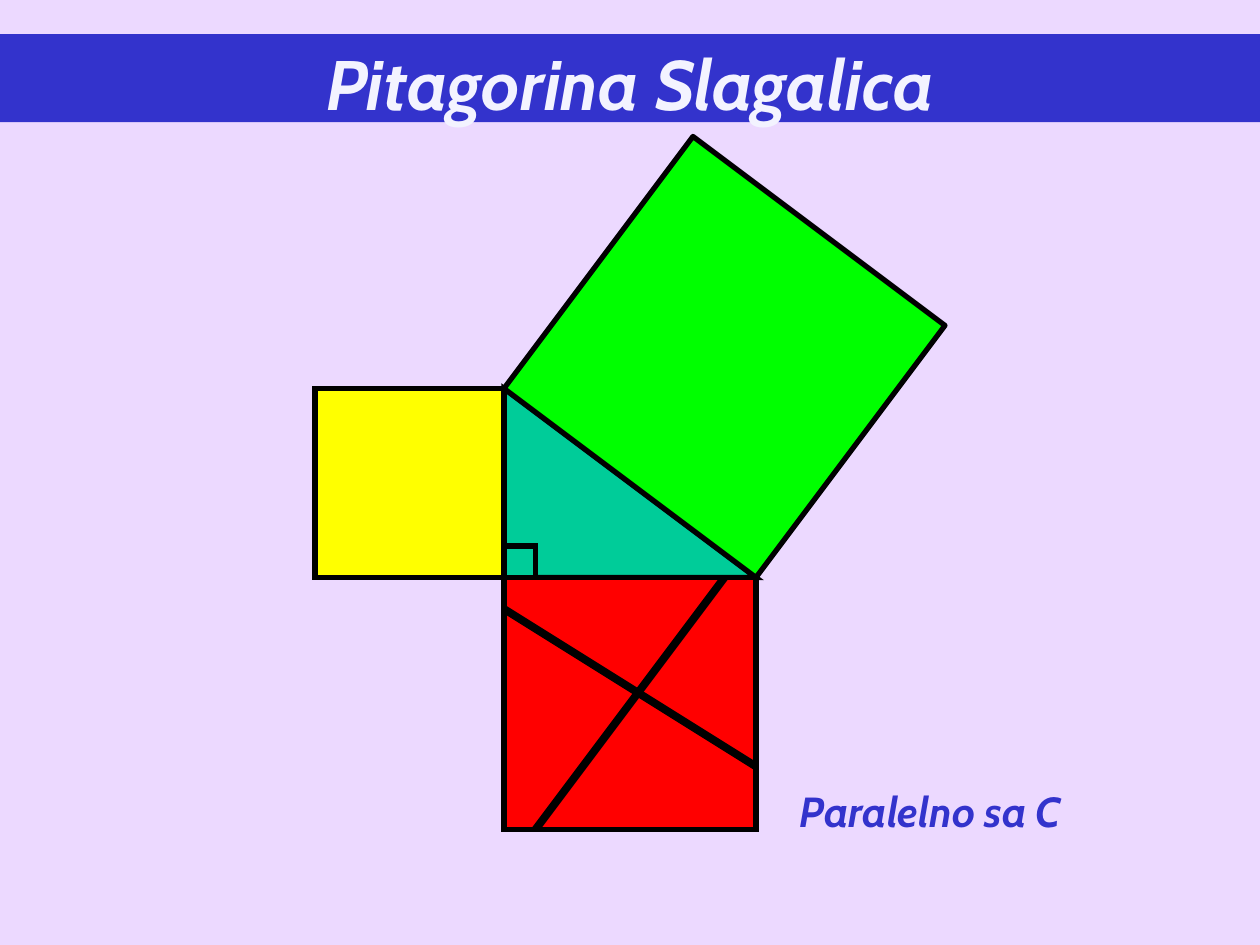
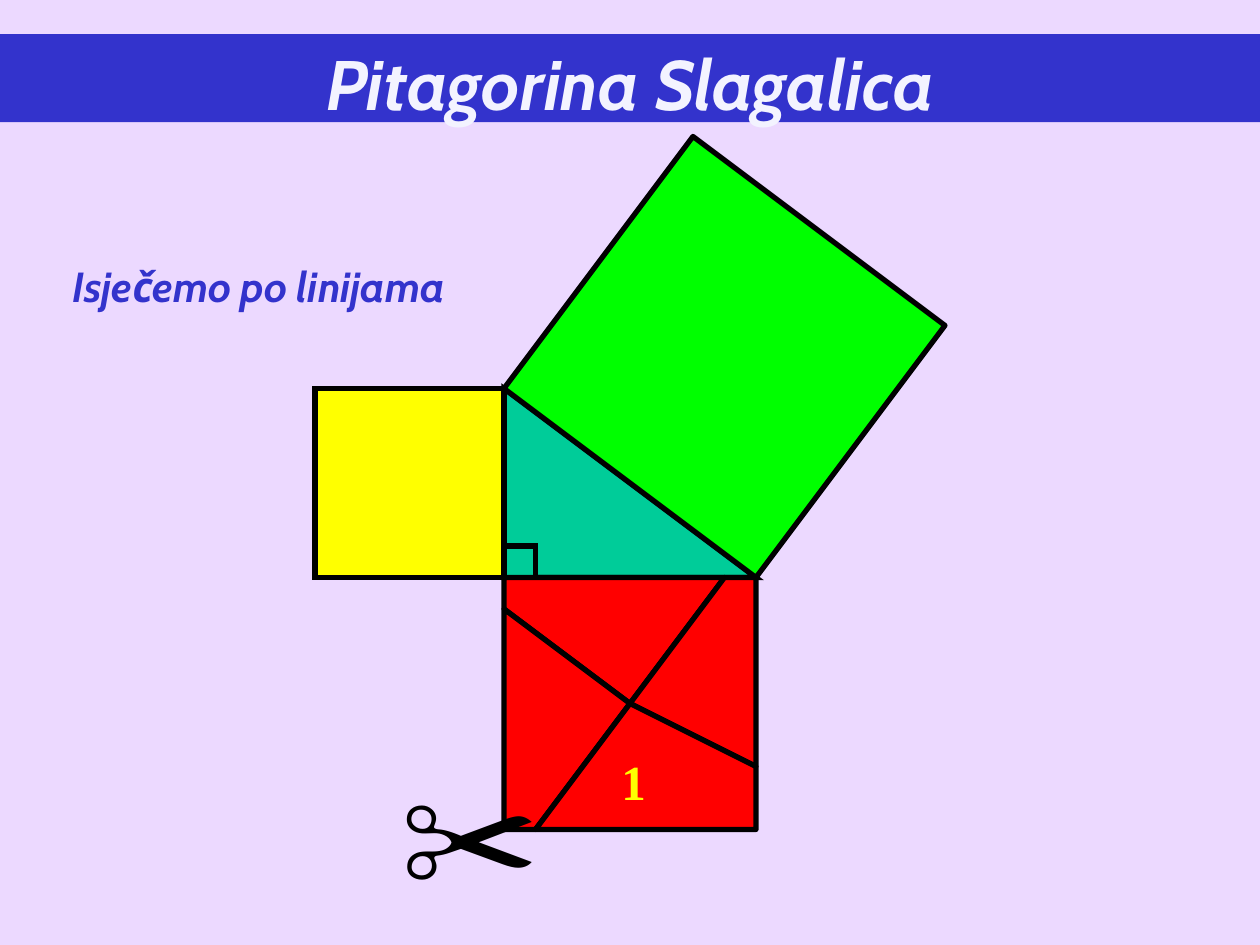
from lxml.etree import SubElement as Sub
from pptx import Presentation
from pptx.dml.color import RGBColor as Rgb
from pptx.enum.shapes import MSO_CONNECTOR as Link, MSO_SHAPE as Kind
from pptx.enum.text import MSO_ANCHOR as Anchor, MSO_AUTO_SIZE as Fit, PP_ALIGN as Align
from pptx.oxml.ns import qn
from pptx.util import Pt

PX = 9525  # EMU per px, 96 px to the inch
UNIT = 24  # grid step of the puzzle
HUES = {
    "back": "ECD9FF", "band": "3333CC", "title": "F3F3FF", "ink": "000000",
    "red": "FF0000", "teal": "00CC99", "yellow": "FFFF00", "green": "00FF00",
}
HEAD, BODY = "Cabin", "Times New Roman"
FIGURE = (240, 104, 480, 528)  # box round the three squares


def hue(name):
    return Rgb.from_string(HUES[name])


def emu(*nums):
    return [round(n * PX) for n in nums]


def paint(shape, fill, join=None):
    """Fill a shape; a join gives it a black outline as well."""
    shape.shadow.inherit = False
    shape.fill.solid()
    shape.fill.fore_color.rgb = hue(fill)
    if not join:
        shape.line.fill.background()
        return
    shape.line.color.rgb = hue("ink")
    shape.line.width = Pt(3)
    tag = Sub(shape.line._get_or_add_ln(), qn("a:" + join))
    if join == "miter":
        tag.set("lim", "800000")


def block(shapes, kind, box, fill, join="miter"):
    shape = shapes.add_shape(kind, *emu(*box))
    paint(shape, fill, join)
    return shape


def outline(shapes, left, top, spots, fill):
    """Closed shape through grid points measured from left, top."""
    pts = [(left + x * UNIT, top + y * UNIT) for x, y in spots]
    path = shapes.build_freeform(*pts[0], scale=PX)
    path.add_line_segments(pts[1:], close=True)
    shape = path.convert_to_shape()
    paint(shape, fill, "round")


def write(shape, text, size, color, font=HEAD, slant=False, bold=True,
          gap=0, align=Align.LEFT):
    frame = shape.text_frame
    frame.word_wrap = True
    frame.auto_size = Fit.NONE
    frame.vertical_anchor = Anchor.TOP
    para = frame.paragraphs[0]
    para.alignment = align
    para.space_before = Pt(gap)
    run = para.add_run()
    run.text = text
    face = run.font
    face.name, face.size = font, Pt(size)
    face.bold, face.italic = bold, slant
    face.color.rgb = hue(color)


def note(slide, box, text):
    write(slide.shapes.add_textbox(*emu(*box)), text, 24, "band", slant=True)


def start(deck):
    """New slide with its background and title band."""
    slide = deck.slides.add_slide(deck.slide_layouts[5])
    slide.background.fill.solid()
    slide.background.fill.fore_color.rgb = hue("back")
    band = slide.shapes.title
    band.left, band.top, band.width, band.height = emu(0, 26, 960, 67)
    band.fill.solid()
    band.fill.fore_color.rgb = hue("band")
    write(band, "Pitagorina Slagalica", 40, "title", slant=True, gap=1,
          align=Align.CENTER)
    return slide


def figure(slide, box):
    """Triangle with its small and large squares; returns the third one's box."""
    left, top = box[:2]
    a, b = 6 * UNIT, 8 * UNIT
    x, y = left + a, top + b  # upper end of the short leg
    base = y + a
    shapes = slide.shapes
    block(shapes, Kind.RIGHT_TRIANGLE, (x, y, b, a), "teal")
    block(shapes, Kind.RECTANGLE, (left, y, a, a), "yellow")
    outline(shapes, x, y, [(0, 0), (6, -8), (14, -2), (8, 6)], "green")
    block(shapes, Kind.RECTANGLE, (x, base - UNIT, UNIT, UNIT), "teal")
    return x, base, b, b


def cut(slide, box, ends):
    """Thick line between two grid points of the box."""
    left, top = box[:2]
    spots = [p + q * UNIT for end in ends for p, q in zip((left, top), end)]
    line = slide.shapes.add_connector(Link.STRAIGHT, *emu(*spots))
    line.line.color.rgb = hue("ink")
    line.line.width = Pt(4.5)
    Sub(line._element.spPr, qn("a:effectLst"))


def whole(slide, box):
    """Red square crossed by the two cuts."""
    block(slide.shapes, Kind.RECTANGLE, box, "red")
    for ends in [((7, 0), (1, 8)), ((0, 1), (8, 6))]:
        cut(slide, box, ends)


def parts(slide, box):
    """Red square split into four pieces, the lowest one numbered."""
    left, top = box[:2]
    mid = (4, 4)
    for spots in [
        [(0, 0), (7, 0), mid, (0, 1)],
        [(0, 1), (0, 8), (1, 8), mid],
        [mid, (7, 0), (8, 0), (8, 6)],
    ]:
        outline(slide.shapes, left, top, spots, "red")
    group = slide.shapes.add_group_shape().shapes
    outline(group, left, top, [mid, (8, 6), (8, 8), (1, 8)], "red")
    tag = block(group, Kind.RECTANGLE, (left + 80, top + 128, 48, 55), "red", None)
    write(tag, "1", 28, "yellow", BODY, gap=2)
    # Scissors at the lower left corner
    blade = slide.shapes.add_textbox(*emu(left - 88, top + 128, 192, 137))
    write(blade, "✂", 80, "ink", BODY, bold=False, gap=2)


def main():
    deck = Presentation()
    deck.slide_width, deck.slide_height = emu(960, 720)

    # Cuts drawn parallel to the hypotenuse
    slide = start(deck)
    whole(slide, figure(slide, FIGURE))
    note(slide, (600, 594, 250, 48), "Paralelno sa C")

    # Pieces cut apart
    slide = start(deck)
    parts(slide, figure(slide, FIGURE))
    note(slide, (46, 194, 351, 87), "Isječemo po linijama")

    deck.save("out.pptx")


if __name__ == "__main__":
    main()
